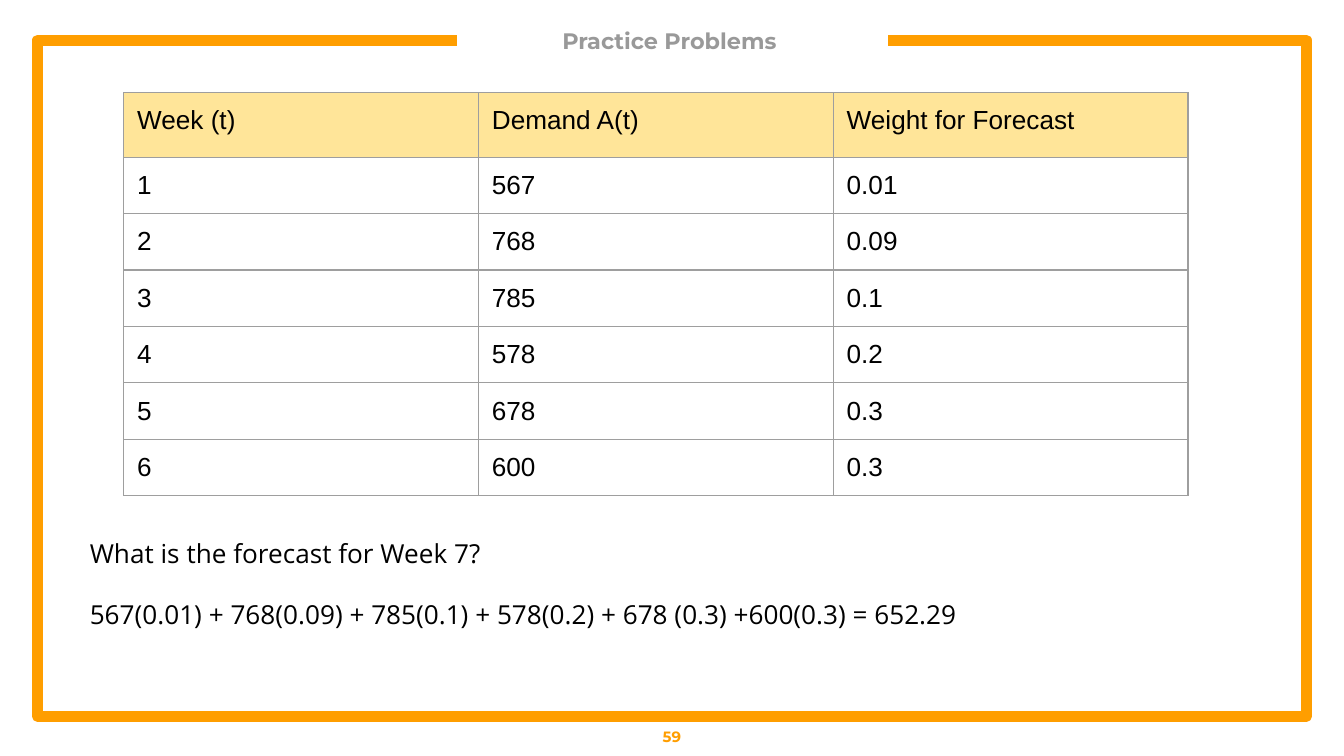
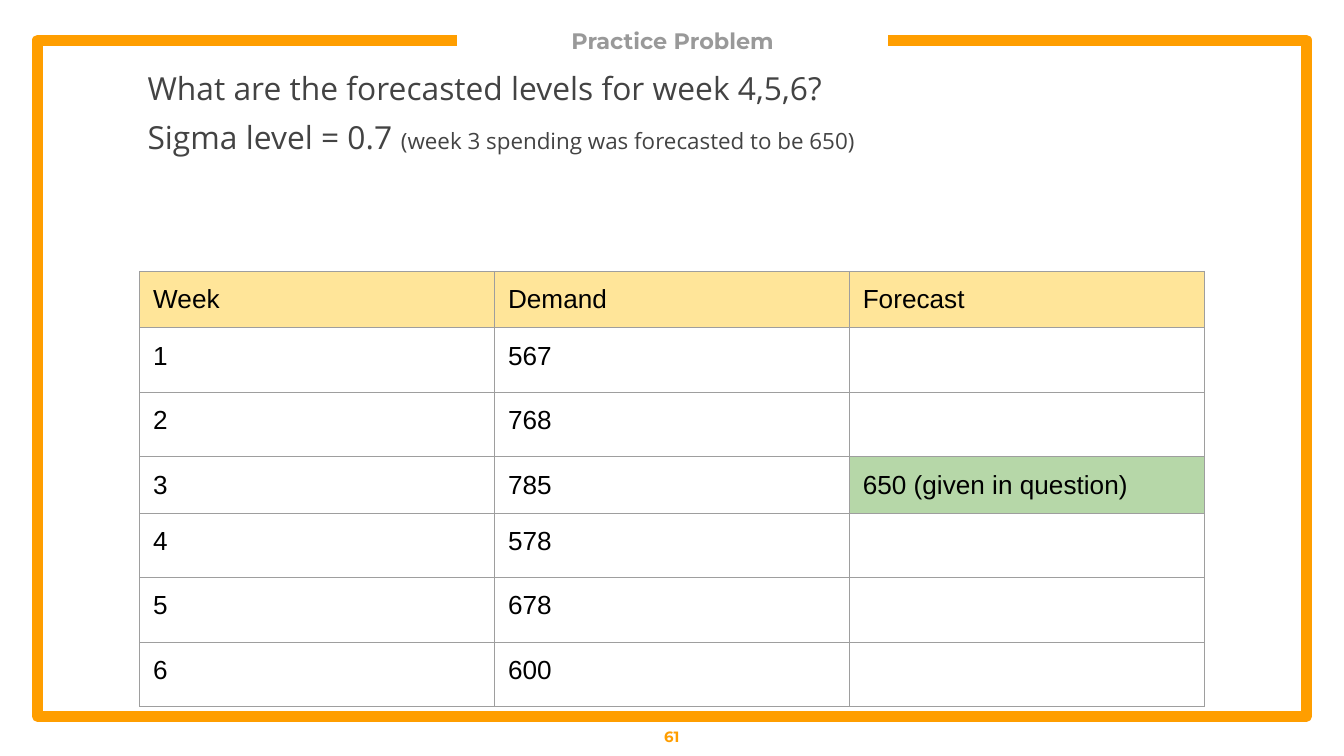
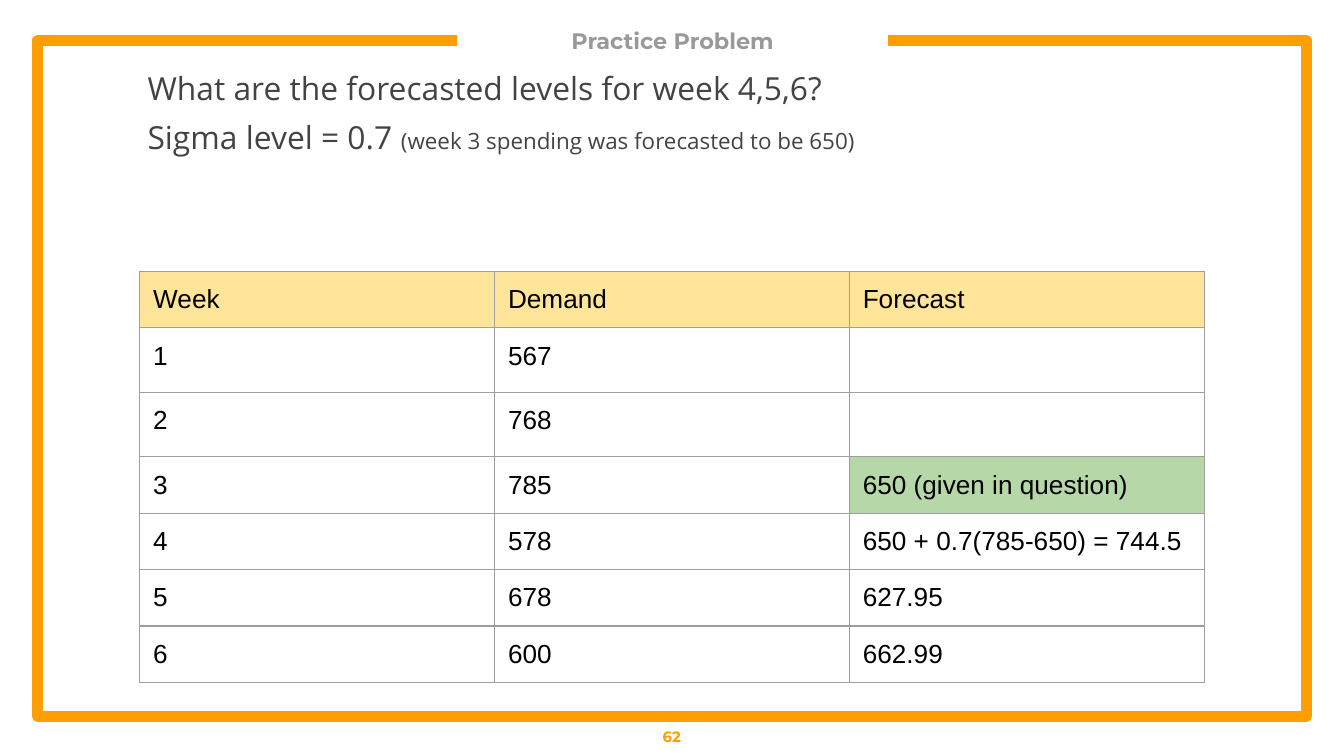
from pptx import Presentation, util as u
from pptx.dml.color import RGBColor
from pptx.enum import text
from pptx.oxml import parse_xml
from pptx.oxml.ns import nsdecls

W, H = 10, 10 * 9 / 16
PAD = 0.1
COL = 2.64
LOW, TALL = 0.42, 0.48
GOLD, GREEN, GREY = "FFE599", "B6D7A8", "9E9E9E"
HEAD = {"name": "Montserrat", "size": 12, "bold": True, "color": "999999"}
FOOT = {**HEAD, "size": 8, "color": "FF9E00"}
CELL = {"name": "Arial", "size": 14, "color": "000000"}
WORK = {**CELL, "name": "Open Sans"}
ASK = {**WORK, "size": 17, "color": "434343"}
NOTE = {**ASK, "size": 12}


def rgb(code):
    return RGBColor.from_string(code)


def write(frame, paras, pad=PAD, gap=0, center=False):
    """Fill a text frame; each paragraph is a list of (words, style) runs."""
    frame.word_wrap = True
    for side in ("left", "right", "top", "bottom"):
        setattr(frame, "margin_" + side, u.Inches(pad))
    if center:
        frame.vertical_anchor = text.MSO_ANCHOR.MIDDLE
    for i, runs in enumerate(paras):
        para = frame.add_paragraph() if i else frame.paragraphs[0]
        if i:
            para.space_before = u.Pt(gap)
        if center:
            para.alignment = text.PP_ALIGN.CENTER
        for words, style in runs:
            run = para.add_run()
            run.text = words
            for key, val in style.items():
                if key == "color":
                    run.font.color.rgb = rgb(val)
                else:
                    setattr(run.font, key, u.Pt(val) if key == "size" else val)


# Content
weeks = ["1", "2", "3", "4", "5", "6"]
demand = ["567", "768", "785", "578", "678", "600"]
weight = ["0.01", "0.09", "0.1", "0.2", "0.3", "0.3"]
given = "650 (given in question)"
solved = ["650 + 0.7(785-650) = 744.5", "627.95", "662.99"]
ask = {
    "box": (1, 0.41, 8, 3.55), "gap": 6,
    "paras": [
        [("What are the forecasted levels for week 4,5,6?", ASK)],
        [("Sigma level = 0.7 ", ASK),
         ("(week 3 spending was forecasted to be 650)", NOTE)],
    ],
}
work = {
    "box": (0.57, 3.9, 7.03, 0.91), "gap": 16,
    "paras": [
        [("What is the forecast for Week 7?", WORK)],
        [("567(0.01) + 768(0.09) + 785(0.1) + 578(0.2) + 678 (0.3) "
          "+600(0.3) = 652.29", WORK)],
    ],
}
names = ["Week", "Demand", "Forecast"]
pages = [
    ("Practice Problems ", "59", work, (0.92, 0.69), TALL,
     ["Week (t)", "Demand A(t)", "Weight for Forecast"], weight),
    ("Practice Problem", "61", ask, (1.04, 2.02), LOW,
     names, ["", "", given, "", "", ""]),
    ("Practice Problem", "62", ask, (1.04, 2.02), LOW,
     names, ["", "", given] + solved),
]

deck = Presentation()
deck.slide_width, deck.slide_height = u.Inches(W), u.Inches(H)

for title, num, body, spot, top, heads, last in pages:
    slide = deck.slides.add_slide(deck.slide_layouts[6])

    # Open frame around the slide
    left, right, high, low = 0.28, W - 0.28, 0.3, 5.33
    dots = [(3.4, high), (left, high), (left, low),
            (right, low), (right, high), (6.61, high)]
    dots = [(u.Inches(x), u.Inches(y)) for x, y in dots]
    pen = slide.shapes.build_freeform(*dots[0])
    pen.add_line_segments(dots[1:], close=False)
    frame = pen.convert_to_shape()
    frame.shadow.inherit = False
    frame.fill.background()
    frame.line.color.rgb = rgb("FF9E00")
    frame.line.width = u.Pt(6)

    # Title, body text and page number
    for box, paras, form in (
        ((3.55, 0.11, 2.91, 0.39), [[(title, HEAD)]], {"pad": 0, "center": True}),
        (body["box"], body["paras"], {"gap": body["gap"]}),
        ((0, low, W, 0.3), [[(num, FOOT)]], {"center": True}),
    ):
        area = slide.shapes.add_textbox(*map(u.Inches, box))
        write(area.text_frame, paras, **form)

    # Table: rows with an empty cell are taller
    rows = [heads, *zip(weeks, demand, last)]
    tall = [top] + [LOW if all(row) else TALL for row in rows[1:]]
    size = (3 * COL, sum(tall))
    grid = slide.shapes.add_table(len(rows), 3, *map(u.Inches, spot + size)).table
    grid.first_row = grid.horz_banding = False
    for col in grid.columns:
        col.width = u.Inches(COL)
    for r, row in enumerate(rows):
        grid.rows[r].height = u.Inches(tall[r])
        for c, words in enumerate(row):
            cell = grid.cell(r, c)
            if words:
                write(cell.text_frame, [[(words, CELL)]])
            else:
                cell.text_frame.paragraphs[0].font.size = u.Pt(14)
            for side in ("left", "right", "top"):
                setattr(cell, "margin_" + side, u.Inches(PAD))
            cell.margin_bottom = u.Inches(0.08)
            props = cell._tc.get_or_add_tcPr()
            for edge in ("lnL", "lnR", "lnT", "lnB"):
                props.append(parse_xml(
                    f'<a:{edge} {nsdecls("a")} w="{u.Pt(0.75)}"><a:solidFill>'
                    f'<a:srgbClr val="{GREY}"/></a:solidFill></a:{edge}>'))
            shade = GOLD if r == 0 else GREEN if words == given else None
            if shade:
                cell.fill.solid()
                cell.fill.fore_color.rgb = rgb(shade)
            else:
                cell.fill.background()

deck.save("out.pptx")
